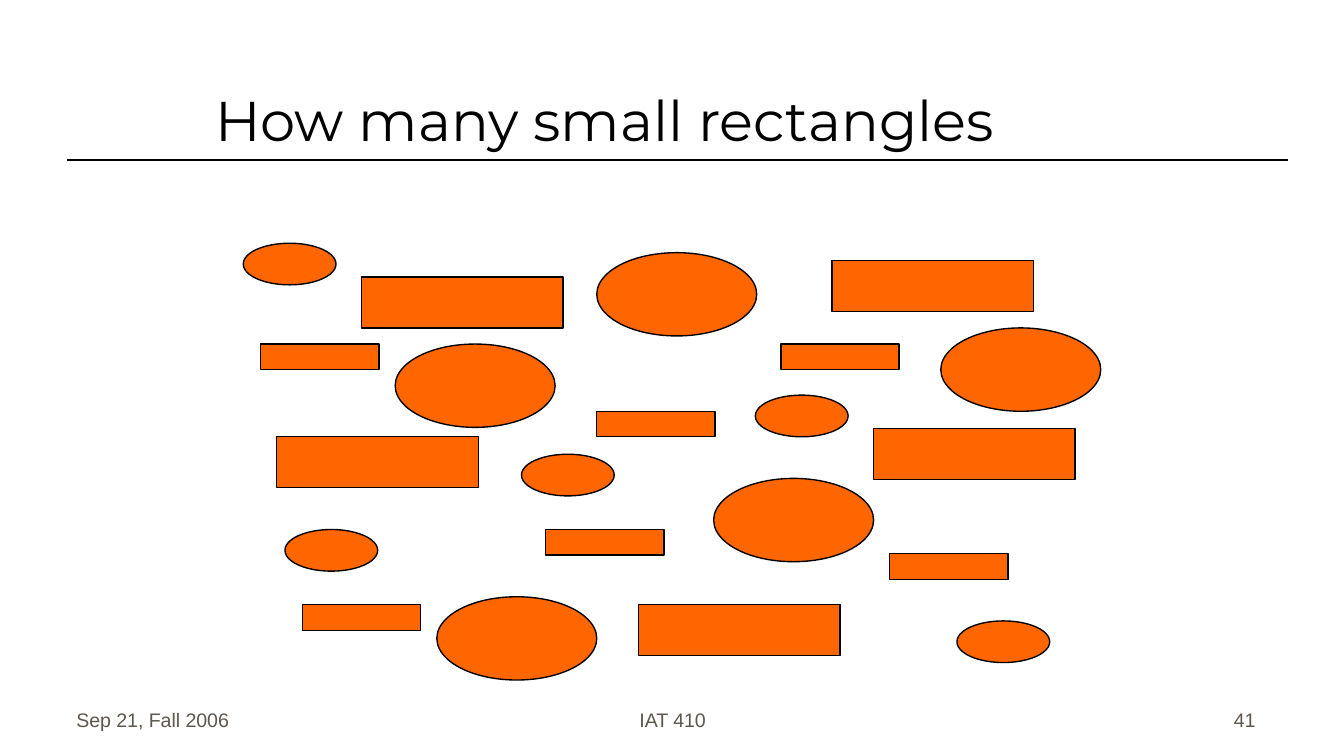
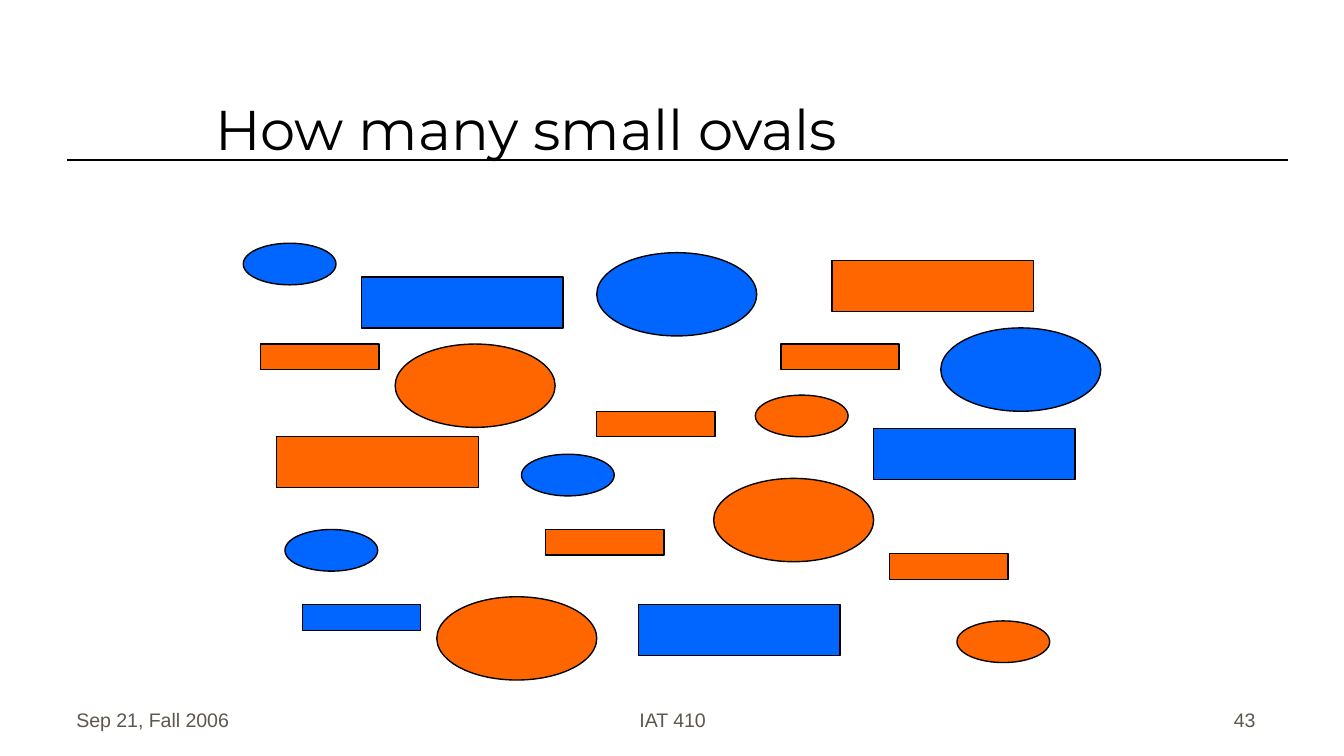
"""Builds two counting slides of scattered rectangles and ovals."""
import pptx
import pptx.dml.color
import pptx.enum.shapes
import pptx.enum.text
import pptx.oxml.ns
import pptx.util
from lxml import etree

Inches, Pt = pptx.util.Inches, pptx.util.Pt
RGBColor = pptx.dml.color.RGBColor
Align = pptx.enum.text.PP_ALIGN
Anchor = pptx.enum.text.MSO_ANCHOR
Preset = pptx.enum.shapes.MSO_SHAPE

BLACK = RGBColor(0x00, 0x00, 0x00)
GREY = RGBColor(0x5E, 0x57, 0x4E)
ORANGE = RGBColor(0xFF, 0x66, 0x00)
BLUE = RGBColor(0x00, 0x66, 0xFF)

SLIDES = [
    {"title": "How many small rectangles", "title_box": (1.5, 0.31, 6.56, 0.88),
     "number": "41", "colours": {"A": ORANGE, "B": ORANGE}},
    {"title": "How many small ovals", "title_box": (1.5, 0.31, 6.38, 0.94),
     "number": "43", "colours": {"A": ORANGE, "B": BLUE}},
]

FIGURES = [
    (Preset.RECTANGLE, (1.5, 0.38),
     [(2.69, 2.06, "B"), (4.75, 4.5, "B"), (6.5, 3.19, "B"),
      (2.06, 3.25, "A"), (6.19, 1.94, "A")]),
    (Preset.RECTANGLE, (0.88, 0.19),
     [(1.94, 2.56, "A"), (4.44, 3.06, "A"), (6.62, 4.12, "A"),
      (4.06, 3.94, "A"), (5.81, 2.56, "A"), (2.25, 4.5, "B")]),
    (Preset.OVAL, (1.19, 0.62),
     [(4.44, 1.88, "B"), (2.94, 2.56, "A"), (3.25, 4.44, "A"),
      (7, 2.44, "B"), (5.31, 3.56, "A")]),
    (Preset.OVAL, (0.69, 0.31),
     [(1.81, 1.81, "B"), (3.88, 3.38, "B"), (7.12, 4.62, "A"),
      (2.12, 3.94, "B"), (5.62, 2.94, "A")]),
]

DATE, COURSE = "Sep 21, Fall 2006", "IAT 410"
FOOTER_TOP, FOOTER_HEIGHT = 5.11, 0.38
RULE_LEFT, RULE_RIGHT, RULE_TOP = 0.5, 9.58, 1.19


def write(frame, text, font, size, colour, align):
    frame.text = text
    frame.word_wrap = True
    frame.auto_size = pptx.enum.text.MSO_AUTO_SIZE.NONE
    frame.vertical_anchor = Anchor.BOTTOM
    paragraph = frame.paragraphs[0]
    paragraph.alignment = align
    run_font = paragraph.runs[0].font
    run_font.name, run_font.size = font, Pt(size)
    run_font.color.rgb = colour


def add_rule(slide):
    rule = slide.shapes.add_connector(
        pptx.enum.shapes.MSO_CONNECTOR.STRAIGHT,
        Inches(RULE_LEFT), Inches(RULE_TOP), Inches(RULE_RIGHT), Inches(RULE_TOP))
    rule.line.color.rgb = BLACK
    rule.line.width = Pt(1)
    etree.SubElement(rule._element.spPr, pptx.oxml.ns.qn("a:effectLst"))


def add_footer(slide, number):
    for text, left, width, align in [(DATE, 0.47, 2.08, Align.LEFT),
                                     (COURSE, 3.42, 3.17, Align.CENTER),
                                     (number, 7.36, 2.08, Align.RIGHT)]:
        footer = slide.shapes.add_textbox(
            Inches(left), Inches(FOOTER_TOP), Inches(width), Inches(FOOTER_HEIGHT))
        write(footer.text_frame, text, "Arial", 10.5, GREY, align)


def set_title(slide, text, box):
    title = slide.shapes.title
    title.left, title.top, title.width, title.height = map(Inches, box)
    frame = title.text_frame
    frame.margin_left = frame.margin_right = Inches(0.1)
    frame.margin_top = frame.margin_bottom = Inches(0.05)
    write(frame, text, "Montserrat", 30, BLACK, Align.LEFT)


def add_figures(slide, colours):
    for preset, size, places in FIGURES:
        for left, top, group in places:
            figure = slide.shapes.add_shape(preset, *map(Inches, (left, top, *size)))
            figure.shadow.inherit = False
            figure.fill.solid()
            figure.fill.fore_color.rgb = colours[group]
            figure.line.color.rgb = BLACK
            figure.line.width = Pt(0.75)


def main():
    deck = pptx.Presentation()
    deck.slide_width = Inches(10)
    deck.slide_height = deck.slide_width * 9 // 16
    for content in SLIDES:
        slide = deck.slides.add_slide(deck.slide_layouts[0])
        subtitle = slide.placeholders[1]._element
        subtitle.getparent().remove(subtitle)
        add_rule(slide)
        add_footer(slide, content["number"])
        set_title(slide, content["title"], content["title_box"])
        add_figures(slide, content["colours"])
    deck.save("out.pptx")


if __name__ == "__main__":
    main()
